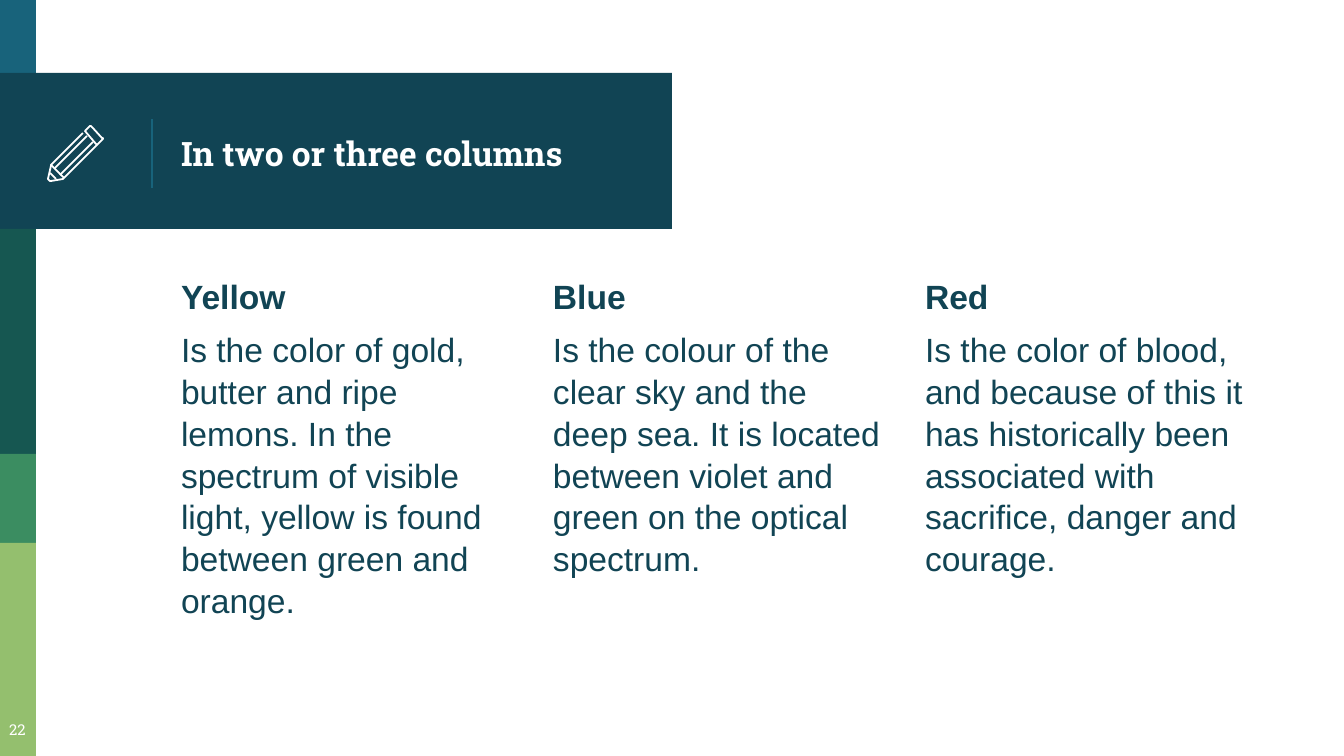
from pptx import Presentation
from pptx.dml.color import RGBColor
from pptx.enum.shapes import MSO_CONNECTOR, MSO_SHAPE
from pptx.enum.text import MSO_ANCHOR, MSO_AUTO_SIZE, PP_ALIGN
from pptx.oxml.ns import qn
from pptx.util import Pt
from lxml.etree import SubElement

PX = 914400 / 134.4
WHITE = RGBColor(0xFF, 0xFF, 0xFF)
NAVY = RGBColor(0x11, 0x44, 0x54)
BLUE = RGBColor(0x18, 0x63, 0x7B)
PINE = RGBColor(0x16, 0x57, 0x51)
GREEN = RGBColor(0x3B, 0x8D, 0x61)
LIME = RGBColor(0x94, 0xBF, 0x6E)
SERIF, SANS = "Roboto Slab", "Arial"

TITLE = "In two or three columns"
PAGE_NUMBER = "22"
COLUMNS = [
    ("Yellow", "Is the color of gold, butter and ripe lemons. In the spectrum of "
               "visible light, yellow is found between green and orange."),
    ("Blue", "Is the colour of the clear sky and the deep sea. It is located "
             "between violet and green on the optical spectrum."),
    ("Red", "Is the color of blood, and because of this it has historically been "
            "associated with sacrifice, danger and courage."),
]
BANDS = [
    (0, 0, 36, 78, BLUE),
    (0, 73, 672, 156, NAVY),
    (0, 229, 36, 225, PINE),
    (0, 454, 36, 89, GREEN),
    (0, 543, 36, 213, LIME),
]
PENCIL = [
    ([(102, 138), (92, 127), (91, 126), (90, 126), (89, 127), (85, 131),
      (97, 145), (102, 140), (103, 139), (103, 138)], True),
    ([(93, 142), (60, 175)], False),
    ([(83, 133), (51, 165), (51, 166), (48, 179), (49, 180), (50, 181),
      (51, 181), (63, 179), (64, 178), (97, 145)], False),
    ([(55, 168), (87, 136)], False),
    ([(56, 179), (50, 173)], False),
    ([(51, 165), (64, 178)], False),
]
COLUMN_LEFT, COLUMN_PITCH = 168, 372
INSET = 13


def px(*lengths):
    return [round(length * PX) for length in lengths]


def set_frame(frame, anchor=MSO_ANCHOR.TOP):
    frame.word_wrap = True
    frame.auto_size = MSO_AUTO_SIZE.NONE
    frame.vertical_anchor = anchor
    inset, = px(INSET)
    frame.margin_left = frame.margin_right = inset
    frame.margin_top = frame.margin_bottom = inset


def add_run(paragraph, text, face, size, color, bold=False):
    run = paragraph.add_run()
    run.text = text
    run.font.name = face
    run.font.size = Pt(size)
    run.font.bold = bold
    run.font.color.rgb = color


deck = Presentation()
deck.slide_width, deck.slide_height = px(1344, 756)
slide = deck.slides.add_slide(deck.slide_layouts[5])
shapes = slide.shapes

for *place, color in BANDS:
    band = shapes.add_shape(MSO_SHAPE.RECTANGLE, *px(*place))
    band.shadow.inherit = False
    band.fill.solid()
    band.fill.fore_color.rgb = color
    band.line.fill.background()

divider = shapes.add_connector(MSO_CONNECTOR.STRAIGHT, *px(152, 119, 152, 188))
divider.line.color.rgb = BLUE
divider.line.width = Pt(0.75)
SubElement(divider.element.spPr, qn("a:effectLst"))

title = shapes.title
title.element.getparent().append(title.element)
title.left, title.top, title.width, title.height = px(168, 78, 472, 150)
set_frame(title.text_frame, MSO_ANCHOR.MIDDLE)
heading = title.text_frame.paragraphs[0]
heading.alignment = PP_ALIGN.LEFT
add_run(heading, TITLE, SERIF, 18, WHITE, True)

for index, (name, description) in enumerate(COLUMNS):
    left = COLUMN_LEFT + index * COLUMN_PITCH
    column = shapes.add_textbox(*px(left, 261, 355, 464)).text_frame
    set_frame(column)
    for paragraph, text, bold in (
        (column.paragraphs[0], name, True),
        (column.add_paragraph(), description, False),
    ):
        paragraph.space_before = Pt(6)
        paragraph.line_spacing = 1.04
        add_run(paragraph, text, SANS, 18, NAVY, bold)

for points, closed in PENCIL:
    builder = shapes.build_freeform(*points[0], scale=PX)
    builder.add_line_segments(points[1:], close=closed)
    stroke = builder.convert_to_shape()
    stroke.shadow.inherit = False
    stroke.fill.background()
    stroke.line.color.rgb = WHITE
    stroke.line.width = Pt(0.96)

number = shapes.add_textbox(*px(-8, 708, 51, 47)).text_frame
set_frame(number)
number.paragraphs[0].alignment = PP_ALIGN.CENTER
add_run(number.paragraphs[0], PAGE_NUMBER, SERIF, 8, WHITE)

deck.save("out.pptx")
